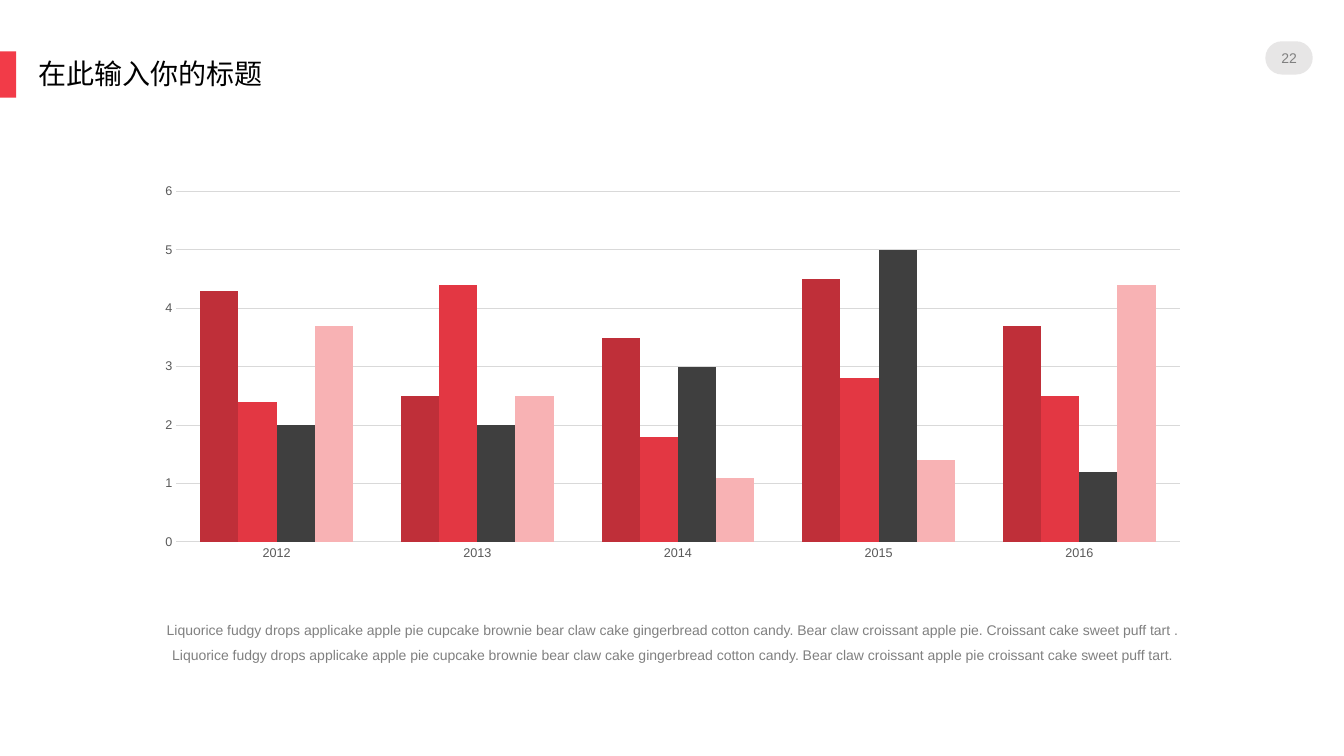
from dataclasses import dataclass

from pptx import Presentation, util as u
from pptx.chart.data import CategoryChartData
from pptx.dml.color import RGBColor
from pptx.enum import chart as ch, shapes, text

FONT = "Arial"
GREY, RULE, LABEL = "808080", "D9D9D9", "595959"


@dataclass
class Box:
    left: float
    top: float
    width: float
    height: float

    def place(self) -> tuple:
        return tuple(map(u.Inches, (self.left, self.top, self.width, self.height)))


@dataclass
class Block:
    kind: shapes.MSO_SHAPE
    box: Box
    fill: str


@dataclass
class Series:
    name: str
    color: str
    vals: tuple


YEARS = ("2012", "2013", "2014", "2015", "2016")
SERIES = (
    Series("Series 1", "BF2F39", (4.3, 2.5, 3.5, 4.5, 3.7)),
    Series("Series 2", "E33743", (2.4, 4.4, 1.8, 2.8, 2.5)),
    Series("Series 3", "3F3F3F", (2, 2, 3, 5, 1.2)),
    Series("Series 4", "F8B2B4", (3.7, 2.5, 1.1, 1.4, 4.4)),
)
BLOCKS = (
    Block(shapes.MSO_SHAPE.RECTANGLE, Box(0, 0.51, 0.16, 0.46), "F23B48"),
    Block(shapes.MSO_SHAPE.ROUNDED_RECTANGLE, Box(12.55, 0.41, 0.47, 0.33), "E7E6E6"),
)
BODY = (
    "Liquorice fudgy drops applicake apple pie cupcake brownie bear claw "
    "cake gingerbread cotton candy. Bear claw croissant apple pie. "
    "Croissant cake sweet puff tart . "
    "Liquorice fudgy drops applicake apple pie cupcake brownie bear claw "
    "cake gingerbread cotton candy. Bear claw croissant apple pie "
    "croissant cake sweet puff tart."
)


def rgb(code: str) -> RGBColor:
    return RGBColor.from_string(code)


def style(font, size: float, color: str) -> None:
    font.name, font.size = FONT, u.Pt(size)
    font.color.rgb = rgb(color)


def write(slide, words: str, box: Box, *, size: float = 10, color: str = GREY,
          align=text.PP_ALIGN.CENTER, anchor=text.MSO_ANCHOR.TOP,
          space: float = 1.0, inset: bool = False) -> None:
    frame = slide.shapes.add_textbox(*box.place()).text_frame
    frame.word_wrap = True
    frame.vertical_anchor = anchor
    if not inset:
        frame.margin_left = frame.margin_right = 0
        frame.margin_top = frame.margin_bottom = 0
    para = frame.paragraphs[0]
    para.alignment, para.line_spacing = align, space
    run = para.add_run()
    run.text = words
    style(run.font, size, color)


def draw(slide, block: Block) -> None:
    shape = slide.shapes.add_shape(block.kind, *block.box.place())
    shape.shadow.inherit = False
    shape.fill.solid()
    shape.fill.fore_color.rgb = rgb(block.fill)
    shape.line.fill.background()
    if block.kind == shapes.MSO_SHAPE.ROUNDED_RECTANGLE:
        shape.adjustments[0] = 0.5


def rule(line) -> None:
    line.color.rgb = rgb(RULE)
    line.width = u.Pt(0.75)


def plot(slide, box: Box) -> None:
    data = CategoryChartData()
    data.categories = YEARS
    for item in SERIES:
        data.add_series(item.name, item.vals)
    chart = slide.shapes.add_chart(
        ch.XL_CHART_TYPE.COLUMN_CLUSTERED, *box.place(), data).chart
    chart.has_legend = chart.has_title = False
    style(chart.font, 10, "000000")

    # Columns
    bars = chart.plots[0]
    bars.gap_width, bars.overlap = 126, 0
    bars.vary_by_categories = False
    for item, bar in zip(SERIES, bars.series):
        bar.invert_if_negative = False
        bar.format.fill.solid()
        bar.format.fill.fore_color.rgb = rgb(item.color)

    # Axes
    years, scale = chart.category_axis, chart.value_axis
    for axis in (years, scale):
        axis.major_tick_mark = axis.minor_tick_mark = ch.XL_TICK_MARK.NONE
        style(axis.tick_labels.font, 9, LABEL)
    rule(years.format.line)
    scale.minimum_scale, scale.maximum_scale, scale.major_unit = 0, 6, 1
    scale.format.line.fill.background()
    rule(scale.major_gridlines.format.line)


def main() -> None:
    deck = Presentation()
    deck.slide_width, deck.slide_height = u.Inches(13.33), u.Inches(7.5)
    slide = deck.slides.add_slide(deck.slide_layouts[6])

    # Title mark and page badge
    for block in BLOCKS:
        draw(slide, block)
    write(slide, "22", Box(12.55, 0.36, 0.47, 0.43), anchor=text.MSO_ANCHOR.MIDDLE)

    # Chart and caption
    plot(slide, Box(1.43, 1.75, 10.48, 3.89))
    write(slide, BODY, Box(1.55, 6.08, 10.23, 0.68), space=1.5)

    # Title
    write(slide, "在此输入你的标题", Box(0.28, 0.55, 4.17, 0.46), size=20,
          color="000000", align=text.PP_ALIGN.LEFT, space=0.9, inset=True)

    deck.save("out.pptx")


if __name__ == "__main__":
    main()
